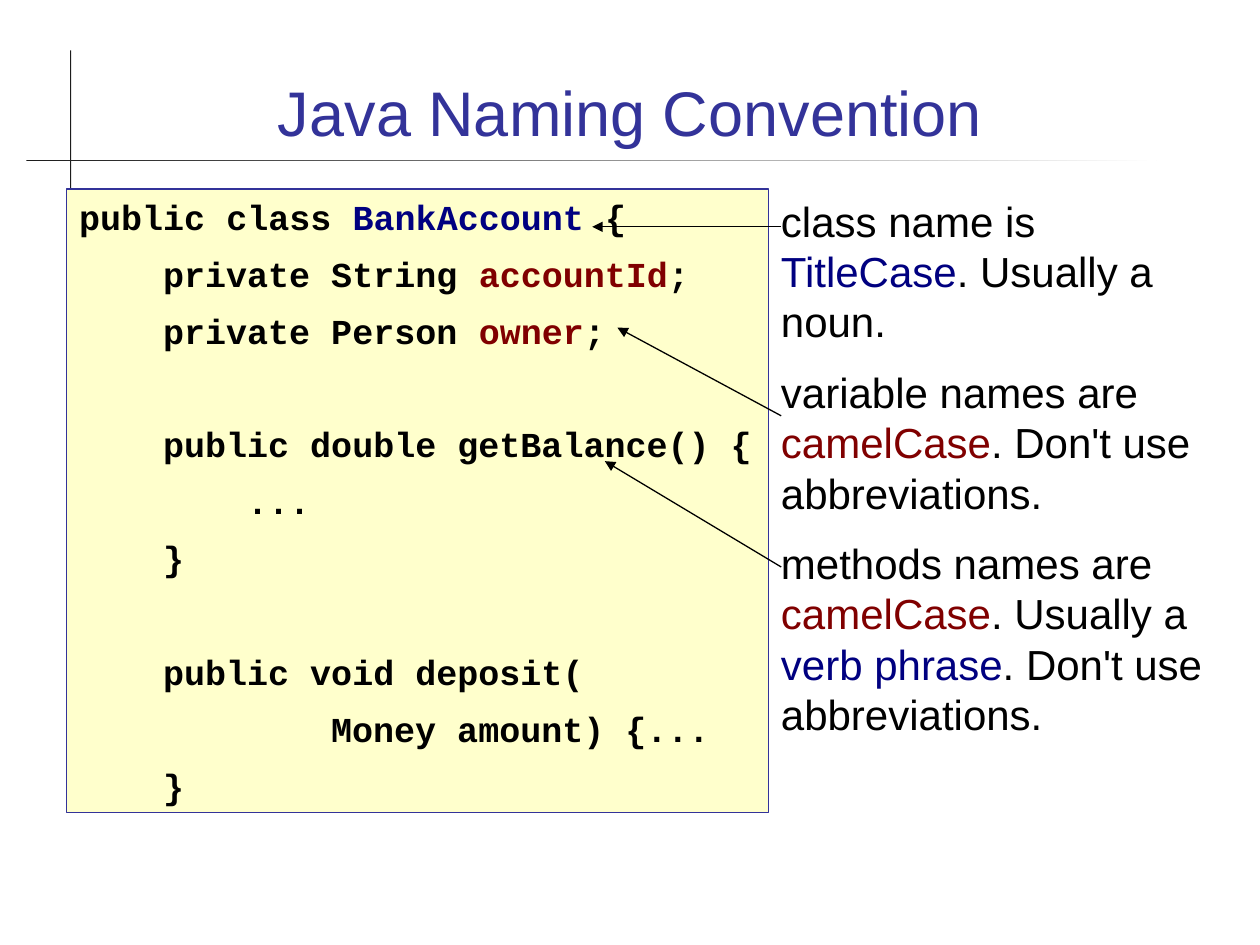
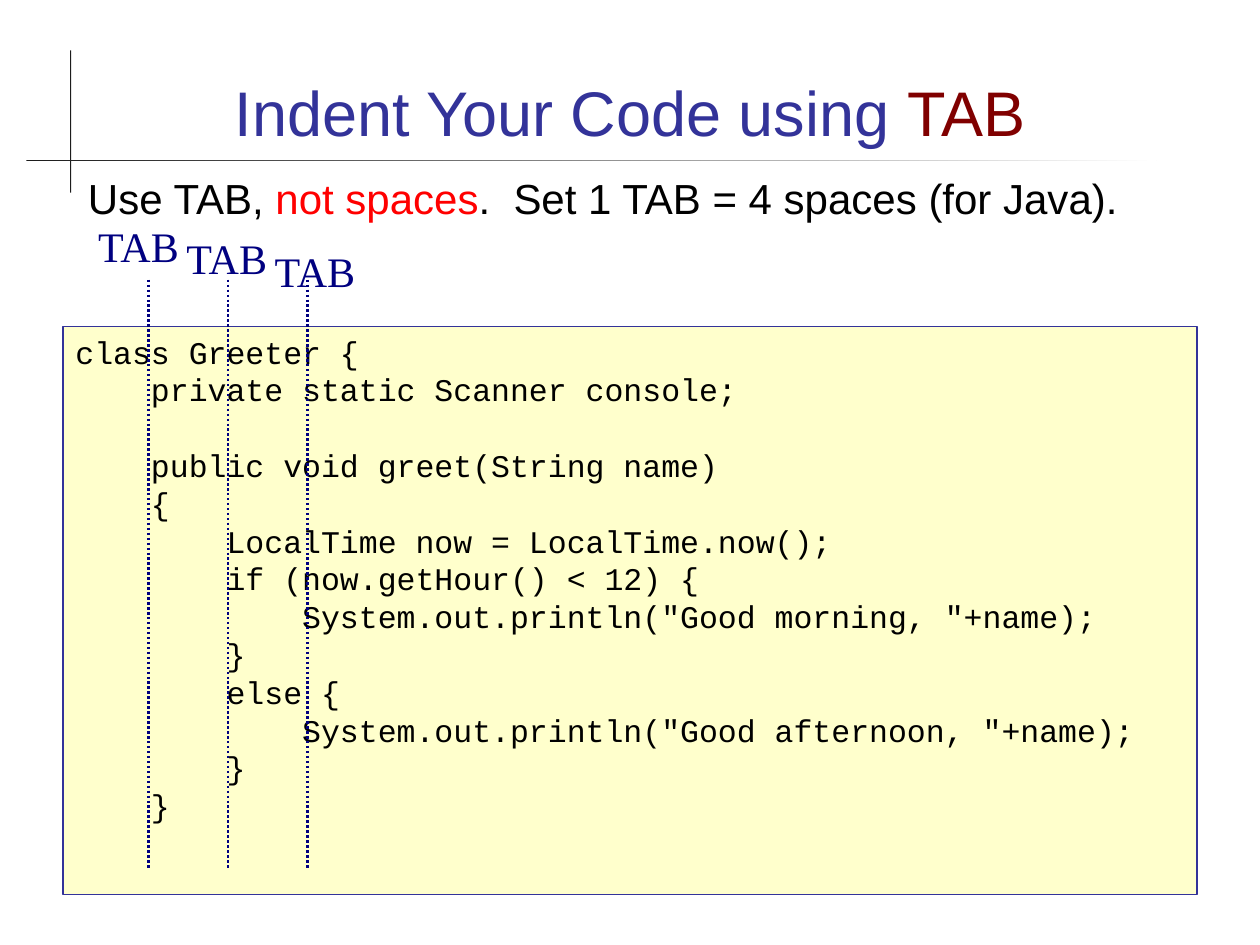
import dataclasses

import pptx
import pptx.dml.color
import pptx.enum.dml
import pptx.enum.shapes
import pptx.enum.text
import pptx.oxml.ns
import pptx.util
from lxml import etree

UNIT = pptx.util.Inches(0.1)  # the slide is a grid of 100 columns and 75 rows
COLS, ROWS = 100, 75
BLACK, WHITE, RULE = "000000", "FFFFFF", "1C1C1C"
INDIGO, NAVY, MAROON, RED, CREAM = "333399", "000080", "800000", "FF0000", "FFFFCC"
SANS, MONO, SERIF = "Arial", "Courier New", "Times New Roman"
LEFT, CENTER = pptx.enum.text.PP_ALIGN.LEFT, pptx.enum.text.PP_ALIGN.CENTER
TOP, BOTTOM = pptx.enum.text.MSO_ANCHOR.TOP, pptx.enum.text.MSO_ANCHOR.BOTTOM
LEADING = 1.2  # line pitch per point of text size
TAB = 4 * 0.6  # four fixed-width letters per point of text size


@dataclasses.dataclass(frozen=True)
class Box:
    col: float
    row: float
    cols: float
    rows: float


@dataclasses.dataclass(frozen=True)
class Style:
    font: str
    size: float
    color: str = BLACK
    bold: bool = False
    align: int = LEFT
    anchor: int = TOP
    before: float = 0


@dataclasses.dataclass(frozen=True)
class Line:
    """Runs are plain strings or (text, colour); skip counts blank lines above."""
    runs: tuple
    depth: int = 0
    skip: int = 0


@dataclasses.dataclass(frozen=True)
class Stroke:
    start: tuple[float, float]
    end: tuple[float, float]
    color: str
    width: float
    arrow: bool = False
    dots: bool = False


TITLE = Style(SANS, 36, INDIGO, align=CENTER, anchor=BOTTOM)
NOTE = Style(SANS, 24, before=11.4)
LEAD = Style(SANS, 24)
LABEL = Style(SERIF, 24, NAVY, align=CENTER)
BOLD_CODE = Style(MONO, 20, bold=True, before=8.5)
CODE = Style(MONO, 18)


def tint(code: str) -> pptx.dml.color.RGBColor:
    return pptx.dml.color.RGBColor.from_string(code)


def span(units: float) -> int:
    return round(units * UNIT)


def place(box: Box) -> tuple[int, ...]:
    return tuple(span(n) for n in dataclasses.astuple(box))


def write(frame, lines: list[Line], style: Style) -> None:
    frame.word_wrap = True
    frame.auto_size = pptx.enum.text.MSO_AUTO_SIZE.NONE
    frame.vertical_anchor = style.anchor
    frame.margin_left = frame.margin_right = span(1)
    frame.margin_top = frame.margin_bottom = span(0.5)
    pitch = style.size * LEADING
    for i, line in enumerate(lines):
        para = frame.add_paragraph() if i else frame.paragraphs[0]
        para.alignment = style.align
        para.line_spacing = pptx.util.Pt(pitch)
        gap = style.before + line.skip * (pitch + style.before)
        para.space_before = pptx.util.Pt(gap)
        if line.depth:
            inset = pptx.util.Pt(line.depth * TAB * style.size)
            para._p.get_or_add_pPr().set("marL", str(inset))
        for part in line.runs:
            text, color = (part, style.color) if isinstance(part, str) else part
            run = para.add_run()
            run.text = text
            run.font.name = style.font
            run.font.size = pptx.util.Pt(style.size)
            run.font.bold = style.bold
            run.font.color.rgb = tint(color)


def add_text(slide, box: Box, lines: list[Line], style: Style) -> None:
    write(slide.shapes.add_textbox(*place(box)).text_frame, lines, style)


def add_rect(slide, box: Box):
    kind = pptx.enum.shapes.MSO_SHAPE.RECTANGLE
    rect = slide.shapes.add_shape(kind, *place(box))
    rect.shadow.inherit = False
    return rect


def add_code(slide, box: Box, lines: list[Line], style: Style) -> None:
    panel = add_rect(slide, box)
    panel.fill.solid()
    panel.fill.fore_color.rgb = tint(CREAM)
    panel.line.color.rgb = tint(INDIGO)
    panel.line.width = pptx.util.Pt(0.75)
    write(panel.text_frame, lines, style)


def add_stroke(slide, stroke: Stroke) -> None:
    kind = pptx.enum.shapes.MSO_CONNECTOR.STRAIGHT
    ends = [span(n) for n in (*stroke.start, *stroke.end)]
    link = slide.shapes.add_connector(kind, *ends)
    link.line.color.rgb = tint(stroke.color)
    link.line.width = pptx.util.Pt(stroke.width)
    if stroke.dots:
        link.line.dash_style = pptx.enum.dml.MSO_LINE.ROUND_DOT
    qn = pptx.oxml.ns.qn
    if stroke.arrow:
        etree.SubElement(link.line._get_or_add_ln(), qn("a:tailEnd"), type="triangle")
    etree.SubElement(link._element.spPr, qn("a:effectLst"))


def add_page(deck, title: Line):
    """Add a slide with the crossed hairlines and the title."""
    slide = deck.slides.add_slide(deck.slide_layouts[6])
    post = add_rect(slide, Box(5.56, 4, 0.1, 11.3))
    post.fill.solid()
    post.fill.fore_color.rgb = tint(RULE)
    beam = add_rect(slide, Box(2.1, 12.7, 89.7, 0.1))
    beam.fill.gradient()
    beam.fill.gradient_angle = 0
    for stop, color in zip(beam.fill.gradient_stops, (RULE, WHITE)):
        stop.color.rgb = tint(color)
    for rule in (post, beam):
        rule.line.fill.background()
    add_text(slide, Box(6.7, 2.8, 86.6, 9.5), [title], TITLE)
    return slide


def draw_naming(deck) -> None:
    slide = add_page(deck, Line(("Java Naming Convention",)))
    notes = [
        Line(("class name is ", ("TitleCase", NAVY), ". Usually a noun.")),
        Line(("variable names are ", ("camelCase", MAROON),
              ". Don't use abbreviations.")),
        Line(("methods names are ", ("camelCase", MAROON), ". Usually a ",
              ("verb phrase", NAVY), ". Don't use abbreviations.")),
    ]
    add_text(slide, Box(61, 15, 37, 54), notes, NOTE)
    code = [
        Line(("public class ", ("BankAccount", NAVY), " {")),
        Line(("private String ", ("accountId", MAROON), ";"), 1),
        Line(("private Person ", ("owner", MAROON), ";"), 1),
        Line(("public double getBalance() {",), 1, skip=1),
        Line(("...",), 2),
        Line(("}",), 1),
        Line(("public void deposit(",), 1, skip=1),
        Line(("Money amount) {...",), 3),
        Line(("}",), 1),
    ]
    add_code(slide, Box(5.3, 15, 55.7, 49.5), code, BOLD_CODE)
    for row, tip in ((18, (47, 18)), (33, (49, 26)), (45, (48, 36.6))):
        add_stroke(slide, Stroke((62, row), tip, BLACK, 0.75, arrow=True))


def draw_indent(deck) -> None:
    slide = add_page(deck, Line(("Indent Your Code using ", ("TAB", MAROON))))
    code = [
        Line(("class Greeter {",)),
        Line(("private static Scanner console;",), 1),
        Line(("public void greet(String name)",), 1, skip=1),
        Line(("{",), 1),
        Line(("LocalTime now = LocalTime.now();",), 2),
        Line(("if (now.getHour() < 12) {",), 2),
        Line(('System.out.println("Good morning, "+name);',), 3),
        Line(("}",), 2),
        Line(("else {",), 2),
        Line(('System.out.println("Good afternoon, "+name);',), 3),
        Line(("}",), 2),
        Line(("}",), 1),
    ]
    add_code(slide, Box(5, 25.9, 90, 45.1), code, CODE)
    lead = Line(("Use TAB, ", ("not spaces", RED),
                 ".  Set 1 TAB = 4 spaces (for Java)."))
    add_text(slide, Box(6, 13.2, 89, 5), [lead], LEAD)
    for i in range(3):
        col = 11.8 + 6.3 * i
        add_stroke(slide, Stroke((col, 22.2), (col, 68.9), NAVY, 1.42, dots=True))
    for i in range(3):
        add_text(slide, Box(6 + 7 * i, 17 + i, 10, 5), [Line(("TAB",))], LABEL)


def main() -> None:
    deck = pptx.Presentation()
    deck.slide_width, deck.slide_height = span(COLS), span(ROWS)
    draw_naming(deck)
    draw_indent(deck)
    deck.save("out.pptx")


if __name__ == "__main__":
    main()
